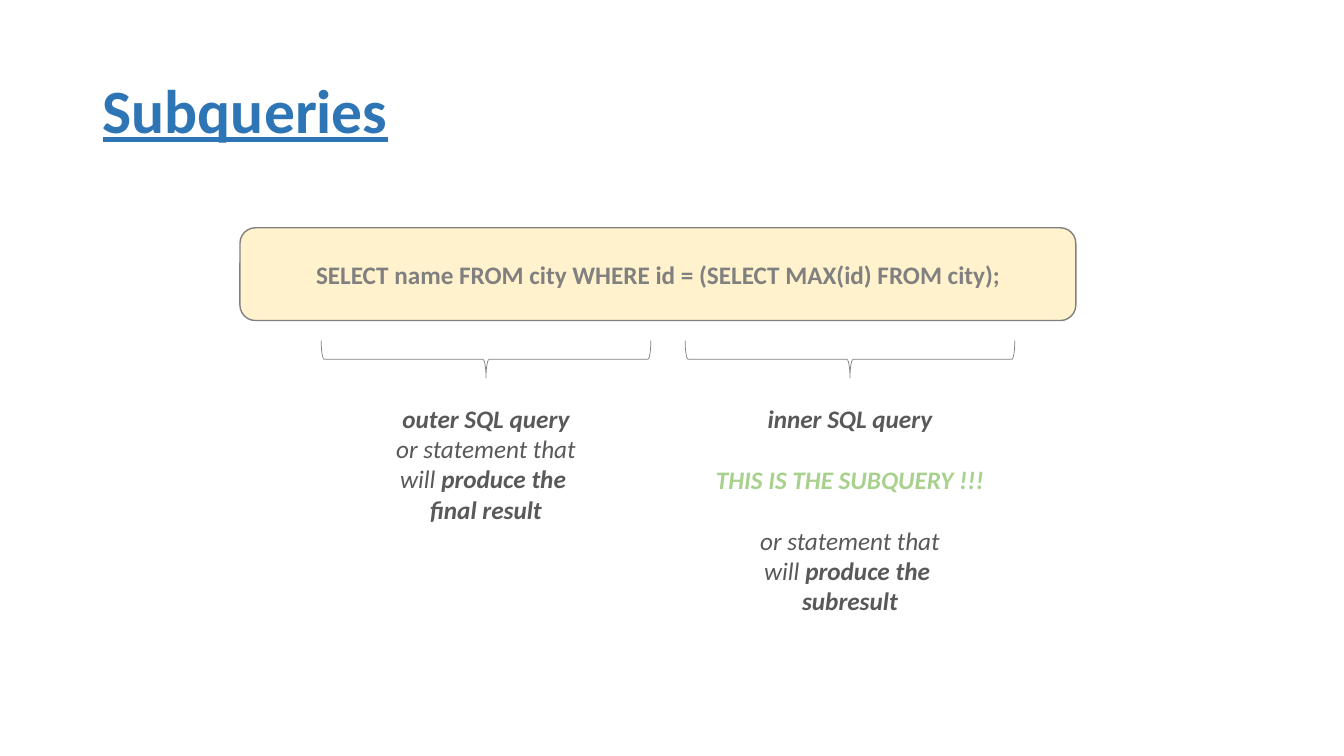
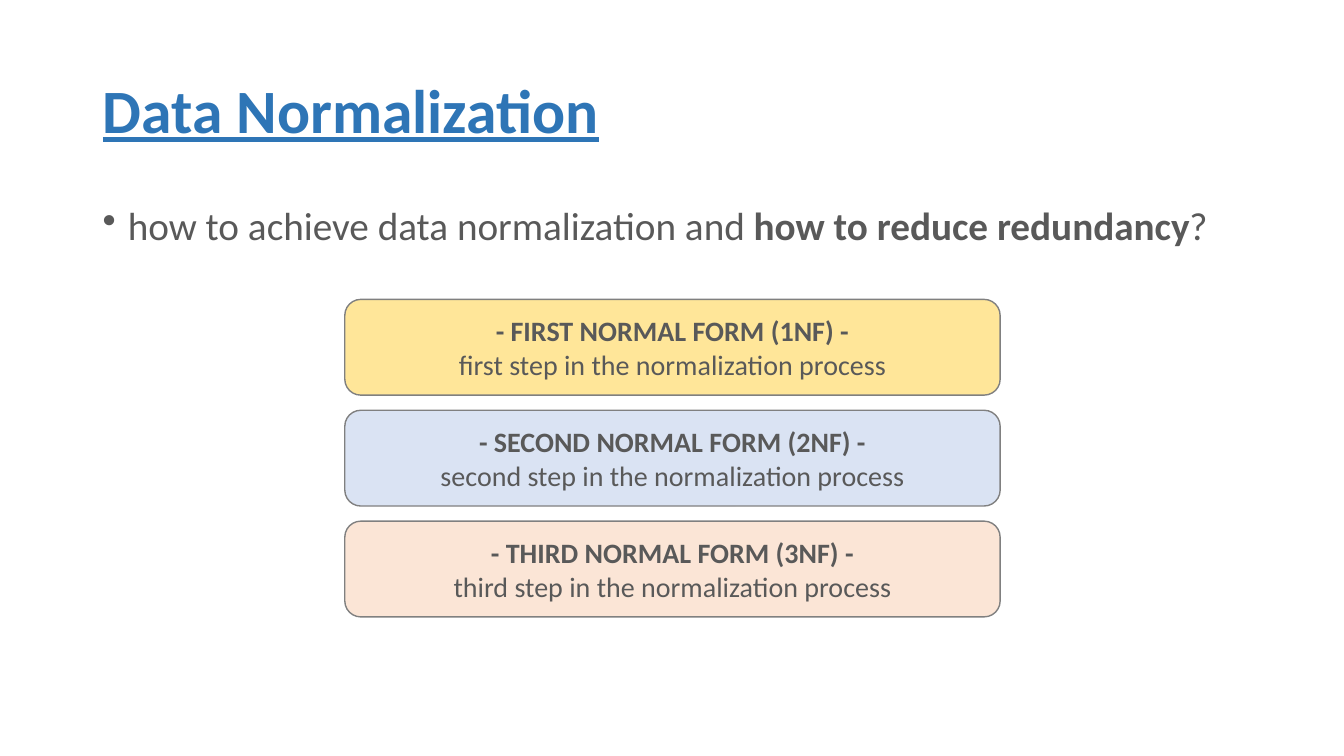
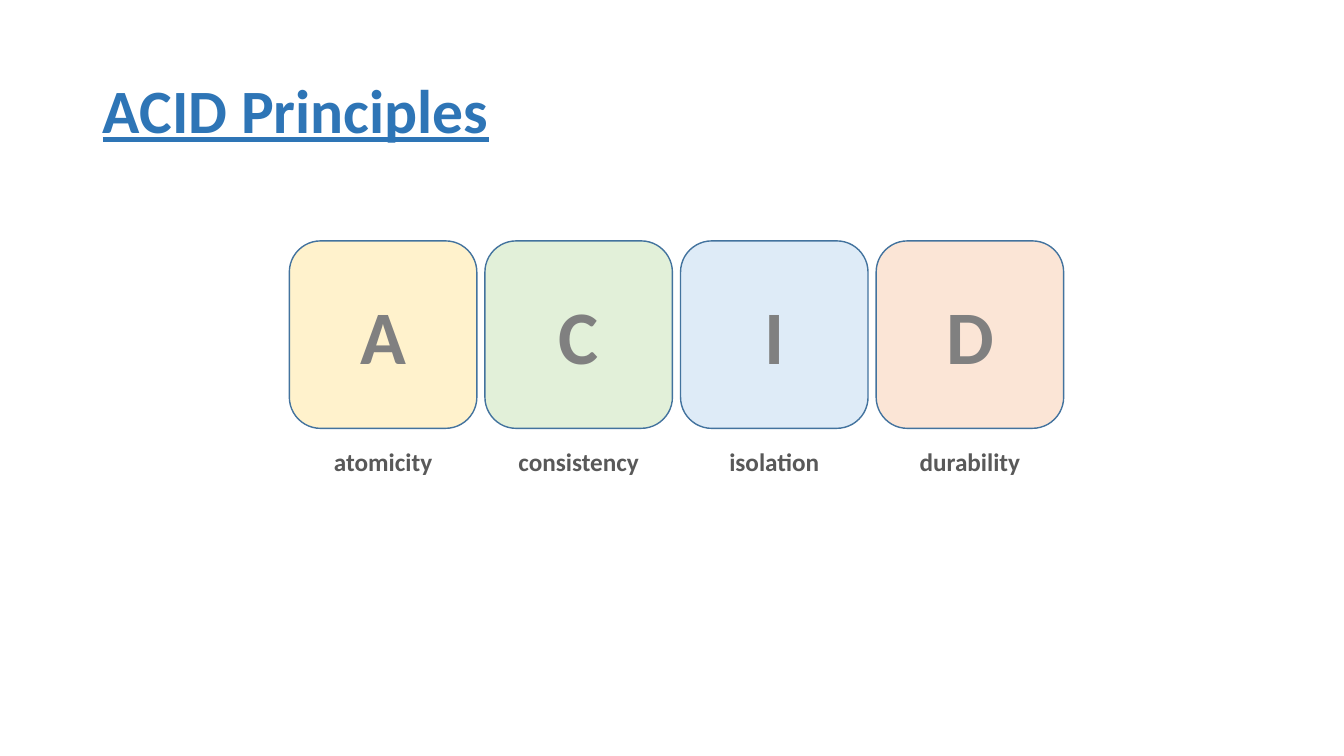
from pptx import Presentation
from pptx.dml.color import RGBColor
from pptx.enum.shapes import MSO_SHAPE as Shape
from pptx.enum.text import MSO_ANCHOR as Anchor, PP_ALIGN as Align
from pptx.oxml.ns import qn
from pptx.util import Inches, Pt
from lxml.etree import SubElement

FONT = "Calibri"
COLORS = {
    "title": "2E75B6", "text": "595959", "gray": "808080", "edge": "43739E",
    "cream": "FFF2CC", "gold": "FFE699", "blue": "DAE3F3", "sky": "DEEBF7",
    "peach": "FBE5D6", "mint": "E2F0D9", "green": "A9D18E",
}


def color(name):
    return RGBColor.from_string(COLORS[name])


def write(frame, lines, size, ink="text", italic=False, align=Align.CENTER):
    """Fill a text frame; parts between asterisks are bold."""
    for i, line in enumerate(lines):
        para = frame.paragraphs[0] if i == 0 else frame.add_paragraph()
        para.alignment = align
        font = para.font
        font.name, font.size, font.italic = FONT, Pt(size), italic
        font.color.rgb = color(ink)
        parts = [(part, j % 2 == 1) for j, part in enumerate(line.split("*")) if part]
        font.bold = all(bold for _, bold in parts)
        for part, bold in parts:
            run = para.add_run()
            run.text = part
            if bold != font.bold:
                run.font.bold = bold


def add_slide(deck, title):
    slide = deck.slides.add_slide(deck.slide_layouts[5])
    box = slide.shapes.title
    box.left, box.top = Inches(0.92), Inches(0.4)
    box.width, box.height = Inches(11.5), Inches(1.45)
    frame = box.text_frame
    frame.vertical_anchor = Anchor.MIDDLE
    write(frame, [f"*{title}*"], 44, "title", align=Align.LEFT)
    para = frame.paragraphs[0]
    para.line_spacing = 0.9
    para.font.underline = True
    return slide


def add_shape(slide, kind, x, y, w, h, edge="gray", width=1):
    shape = slide.shapes.add_shape(kind, Inches(x), Inches(y), Inches(w), Inches(h))
    shape.shadow.inherit = False
    shape.line.color.rgb = color(edge)
    shape.line.width = Pt(width)
    return shape


def add_card(slide, x, y, w, h, fill, edge="gray"):
    card = add_shape(slide, Shape.ROUNDED_RECTANGLE, x, y, w, h, edge)
    card.fill.solid()
    card.fill.fore_color.rgb = color(fill)
    frame = card.text_frame
    frame.vertical_anchor = Anchor.MIDDLE
    return frame


def add_brace(slide, mid):
    w, h = 0.37, 3.27
    brace = add_shape(slide, Shape.RIGHT_BRACE, mid - w / 2, 1.93, w, h, width=0.5)
    brace.rotation = 90
    brace.fill.background()


def add_text(slide, x, y, w, h, lines, size, wrap=False, **style):
    box = slide.shapes.add_textbox(Inches(x), Inches(y), Inches(w), Inches(h))
    frame = box.text_frame
    frame.word_wrap = wrap
    write(frame, lines, size, **style)
    return frame


def add_bullet(para):
    props = para._p.get_or_add_pPr()
    props.set("marL", str(Inches(0.25)))
    props.set("indent", str(-Inches(0.25)))
    mark = SubElement(props, qn("a:buChar"))
    mark.set("char", "•")
    fill = props.find(qn("a:defRPr"))
    if fill is not None:
        fill.addprevious(mark)


def subqueries(deck):
    slide = add_slide(deck, "Subqueries")
    add_card(slide, 2.38, 2.26, 8.29, 0.92, "cream")
    add_text(slide, 3, 2.52, 7.06, 0.4,
             ["*SELECT name FROM city WHERE id = (SELECT MAX(id) FROM city);*"],
             18, ink="gray")
    notes = [
        (4.82, 2.04, 1.31, ["*outer SQL query*", "or statement that",
                            "will *produce the *", "*final result*"]),
        (8.43, 2.89, 2.22, ["*inner SQL query*", "*THIS IS THE SUBQUERY !!!*",
                            "or statement that", "will *produce the *", "*subresult*"]),
    ]
    for mid, w, h, lines in notes:
        add_brace(slide, mid)
        frame = add_text(slide, mid - w / 2, 3.95, w, h, lines, 18, italic=True)
    shout, after = frame.paragraphs[1:3]
    shout.font.color.rgb = color("green")
    shout.space_before = after.space_before = Pt(22)


def normal_forms(deck):
    slide = add_slide(deck, "Data Normalization")
    frame = add_text(slide, 0.92, 2, 11.5, 5.34,
                     ["how to achieve data normalization and *how to reduce redundancy*?"],
                     28, wrap=True, align=Align.LEFT)
    para = frame.paragraphs[0]
    para.line_spacing = 0.9
    add_bullet(para)
    steps = [("first", "gold"), ("second", "blue"), ("third", "peach")]
    for i, (step, fill) in enumerate(steps):
        card = add_card(slide, 3.42, 2.97 + 1.1 * i, 6.5, 0.95, fill)
        write(card, [f"*- {step.upper()} NORMAL FORM ({i + 1}NF) -*",
                     f"{step} step in the normalization process"], 20)


def acid(deck):
    slide = add_slide(deck, "ACID Principles")
    side, pitch = 1.86, 1.94
    terms = [("atomicity", "cream", 1.18), ("consistency", "mint", 1.4),
             ("isolation", "sky", 1.1), ("durability", "peach", 1.21)]
    for i, (term, fill, w) in enumerate(terms):
        x = 2.87 + pitch * i
        tile = add_card(slide, x, 2.39, side, side, fill, "edge")
        write(tile, [f"*{term[0].upper()}*"], 54, "gray")
        add_text(slide, x + (side - w) / 2, 4.38, w, 0.4, [f"*{term}*"], 18)


def main():
    deck = Presentation()
    deck.slide_width, deck.slide_height = Inches(13.33), Inches(7.5)
    subqueries(deck)
    normal_forms(deck)
    acid(deck)
    deck.save("out.pptx")


main()
